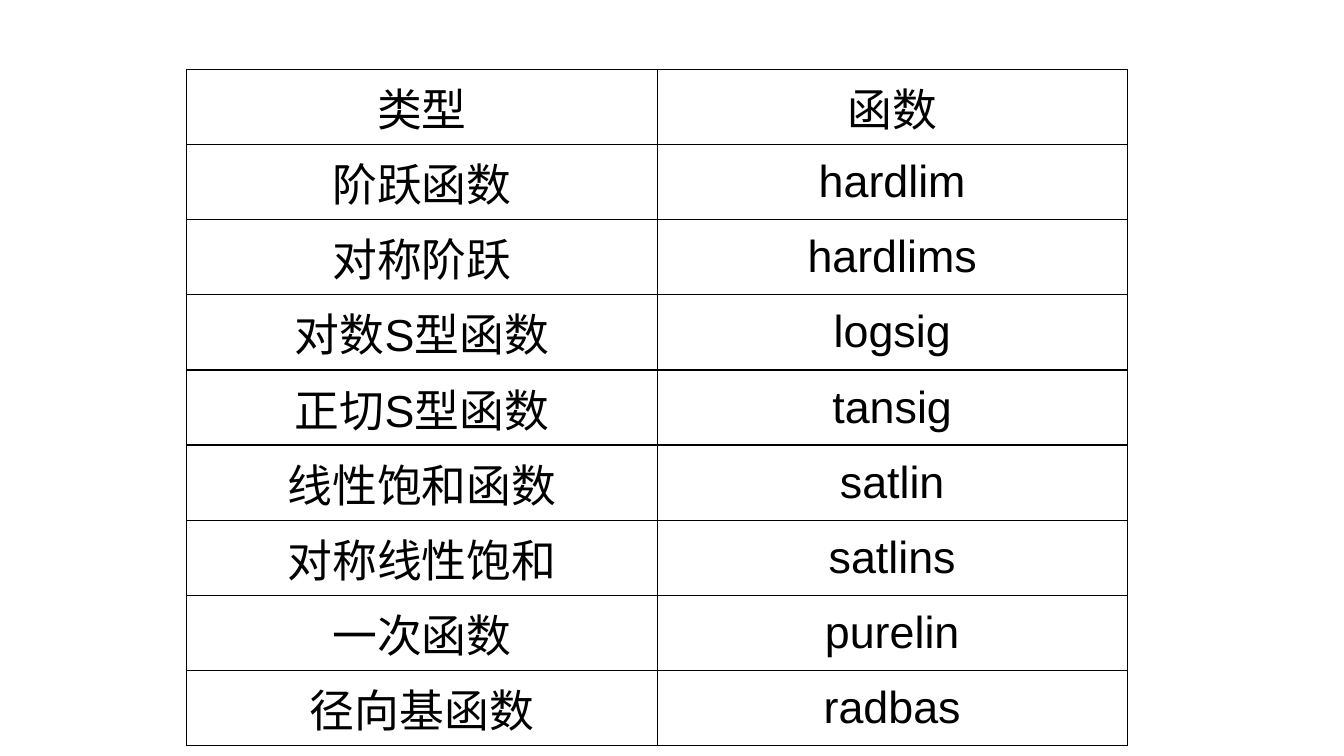
from dataclasses import dataclass

from lxml import etree
from pptx import Presentation
from pptx.dml.color import RGBColor
from pptx.enum.text import MSO_ANCHOR, PP_ALIGN
from pptx.oxml.ns import qn
from pptx.util import Cm, Pt

CENTER = PP_ALIGN.CENTER
MIDDLE = MSO_ANCHOR.MIDDLE


@dataclass(frozen=True)
class Theme:
    ink: str = "000000"
    font: str = "Arial"
    text_size: int = 32
    border_width: int = 1


THEME = Theme()

FUNCTIONS = [
    ("类型", "函数"),
    ("阶跃函数", "hardlim"),
    ("对称阶跃", "hardlims"),
    ("对数S型函数", "logsig"),
    ("正切S型函数", "tansig"),
    ("线性饱和函数", "satlin"),
    ("对称线性饱和", "satlins"),
    ("一次函数", "purelin"),
    ("径向基函数", "radbas"),
]
COLUMN_WIDTH = Cm(11.85)
ROW_HEIGHT = Cm(1.89)


def add_borders(cell):
    """Draw a thin line on all four sides; borders precede the fill."""
    properties = cell._tc.get_or_add_tcPr()
    for position, side in enumerate(("a:lnL", "a:lnR", "a:lnT", "a:lnB")):
        line = etree.Element(qn(side), w=str(Pt(THEME.border_width)))
        fill = etree.SubElement(line, qn("a:solidFill"))
        etree.SubElement(fill, qn("a:srgbClr"), val=THEME.ink)
        properties.insert(position, line)


# Slide
deck = Presentation()
deck.slide_width = Cm(33.87)
deck.slide_height = Cm(19.05)
page = deck.slides.add_slide(deck.slide_layouts[6])

# Table of transfer functions
frame = page.shapes.add_table(
    len(FUNCTIONS), 2, Cm(4.71), Cm(1.75),
    COLUMN_WIDTH * 2, ROW_HEIGHT * len(FUNCTIONS))
table = frame.table
table.first_row = False
table.horz_banding = False
for column in table.columns:
    column.width = COLUMN_WIDTH
for row in table.rows:
    row.height = ROW_HEIGHT

# Cell text and borders
for row, texts in zip(table.rows, FUNCTIONS):
    for cell, text in zip(row.cells, texts):
        cell.fill.background()
        cell.vertical_anchor = MIDDLE
        add_borders(cell)
        para = cell.text_frame.paragraphs[0]
        para.alignment = CENTER
        span = para.add_run()
        span.text = text
        span.font.name = THEME.font
        span.font.size = Pt(THEME.text_size)
        span.font.color.rgb = RGBColor.from_string(THEME.ink)

deck.save("out.pptx")
